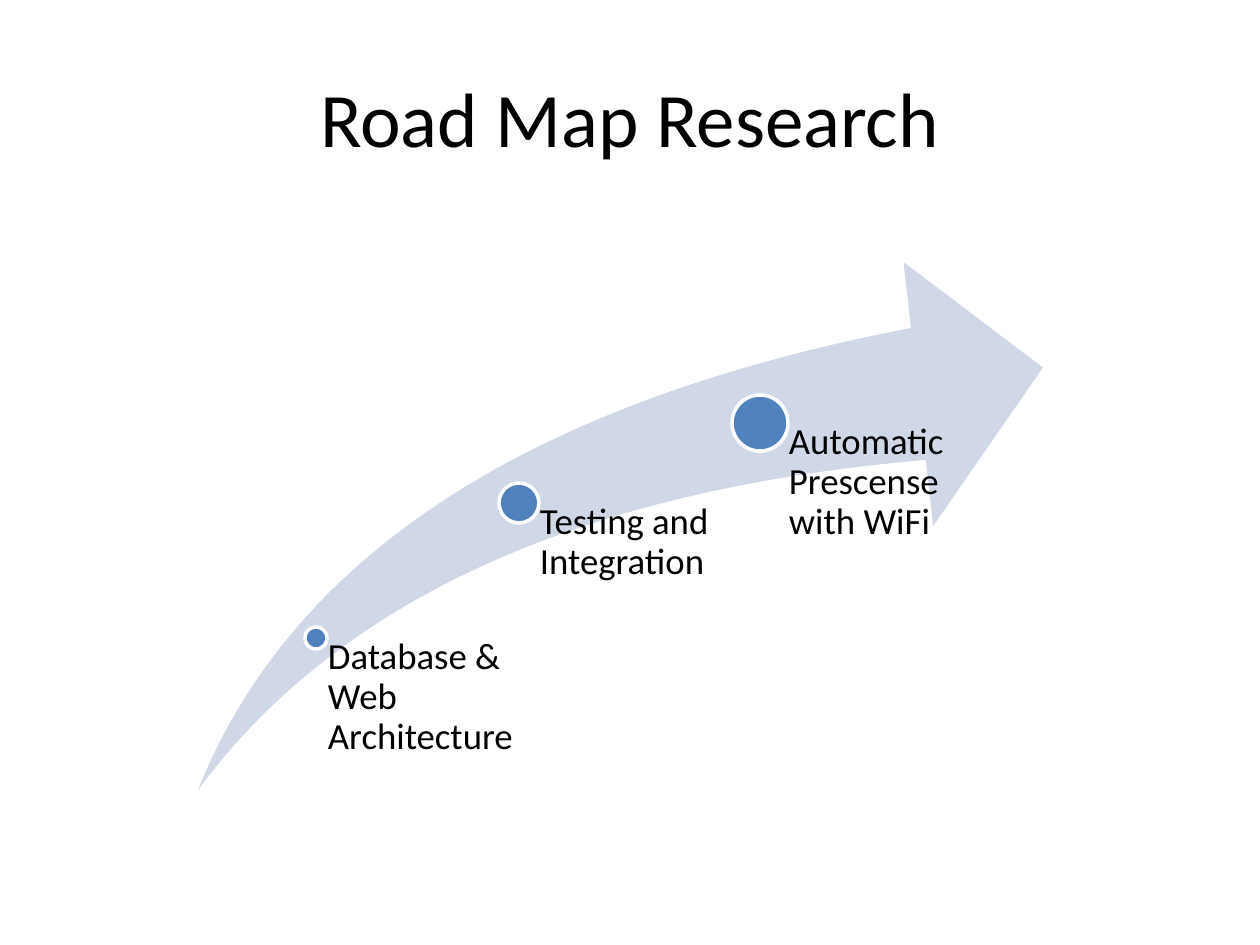
import pptx
import pptx.dml.color
import pptx.enum.shapes
import pptx.enum.text
import pptx.util

SHAPE = pptx.enum.shapes.MSO_SHAPE
ALIGN = pptx.enum.text.PP_ALIGN
ANCHOR = pptx.enum.text.MSO_ANCHOR


def px(n):
    """Turn pixels (126 to the inch) into EMU."""
    return pptx.util.Emu(round(n * 914400 / 126))


def rgb(value):
    """Turn a hex string into a colour."""
    return pptx.dml.color.RGBColor.from_string(value)


class RoadMap:
    """The style and the current slide."""

    font, ink, band, dot_fill, outline = "Calibri", "000000", "D0D8E8", "4F81BD", "FFFFFF"

    def __init__(self, slide):
        self.shapes = slide.shapes

    def shape(self, kind, x, y, w, h, fill, line=None):
        """Add a preset shape, outlined if a line colour is given."""
        sp = self.shapes.add_shape(kind, px(x), px(y), px(w), px(h))
        sp.shadow.inherit = False
        sp.fill.solid()
        sp.fill.fore_color.rgb = rgb(fill)
        if line:
            sp.line.color.rgb = rgb(line)
            sp.line.width = pptx.util.Pt(2)
        else:
            sp.line.fill.background()
        return sp

    def text(self, words, x, y, w, h, size, inset=0, align=ALIGN.LEFT,
             anchor=ANCHOR.TOP, spacing=1.0):
        """Add a wrapping text box with one paragraph."""
        tf = self.shapes.add_textbox(px(x), px(y), px(w), px(h)).text_frame
        tf.word_wrap = True
        tf.vertical_anchor = anchor
        tf.margin_left = px(inset)
        tf.margin_top = tf.margin_right = tf.margin_bottom = 0
        p = tf.paragraphs[0]
        p.text = words
        p.alignment = align
        p.line_spacing = spacing
        p.font.name = self.font
        p.font.size = pptx.util.Pt(size)
        p.font.color.rgb = rgb(self.ink)

    def arrow(self, x, y, w, h):
        """Add the curved road."""
        sp = self.shape(SHAPE.SWOOSH_ARROW, x, y, w, h, self.band)
        sp.adjustments[0] = sp.adjustments[1] = 0.25

    def milestone(self, words, cx, cy, size, width, bottom):
        """Add a dot and its label, which hangs from the dot's centre."""
        radius = size / 2
        self.shape(SHAPE.OVAL, cx - radius, cy - radius, size, size,
                   self.dot_fill, self.outline)
        self.text(words, cx, cy, width, bottom - cy, 21,
                  inset=size // 2 + 1, spacing=0.9)


prs = pptx.Presentation()
prs.slide_width, prs.slide_height = px(1260), px(945)
road = RoadMap(prs.slides.add_slide(prs.slide_layouts[6]))

road.text("Road Map Research", 63, 38, 1134, 157, 44,
          align=ALIGN.CENTER, anchor=ANCHOR.MIDDLE)
road.arrow(198, 262, 845, 528)
for words, cx, cy, size, width in (
    ("Database & Web Architecture", 316, 638, 22, 197),
    ("Testing and Integration", 519, 503, 40, 203),
    ("Automatic Prescense with WiFi", 760, 423, 56, 203),
):
    road.milestone(words, cx, cy, size, width, bottom=790)

prs.save("out.pptx")
